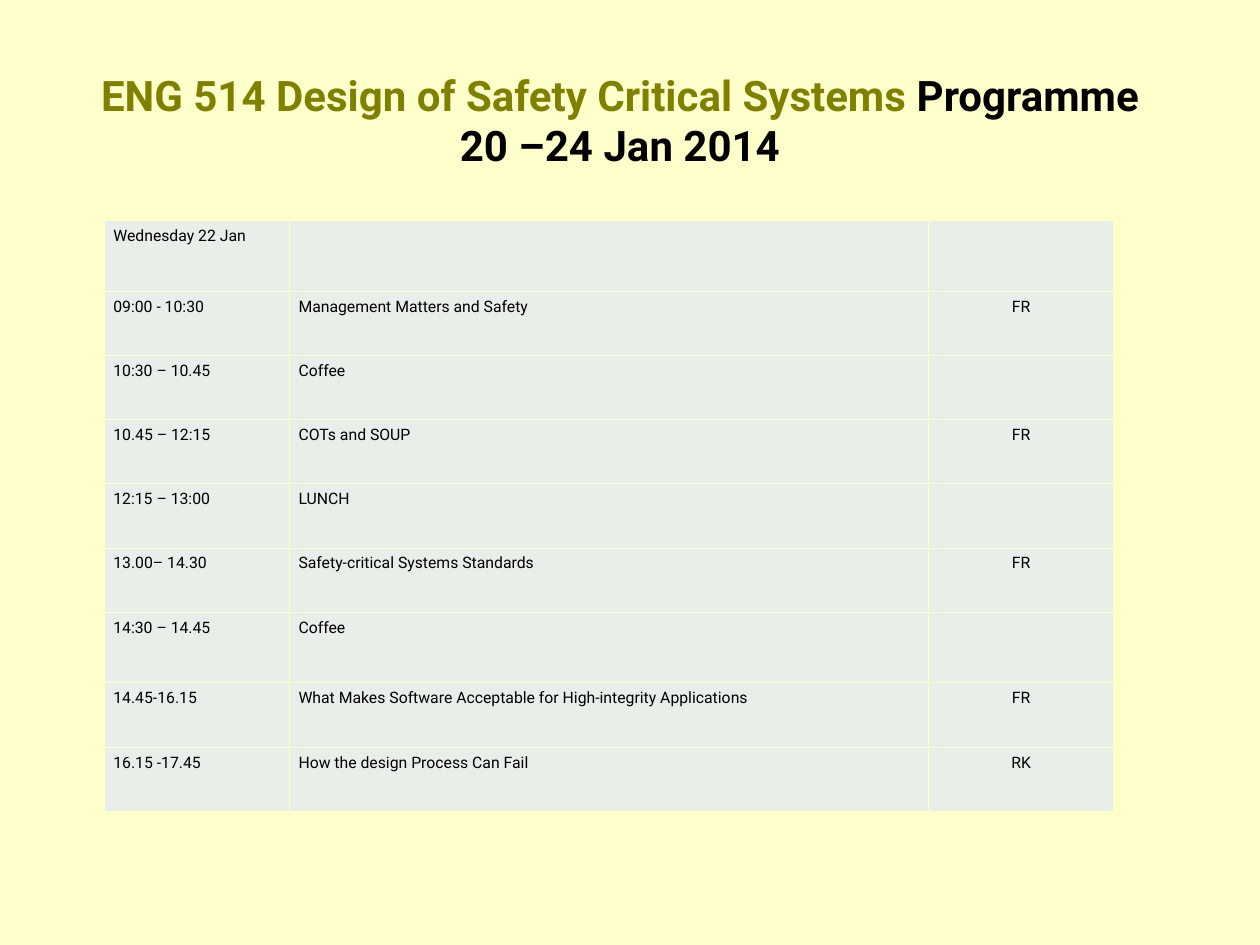
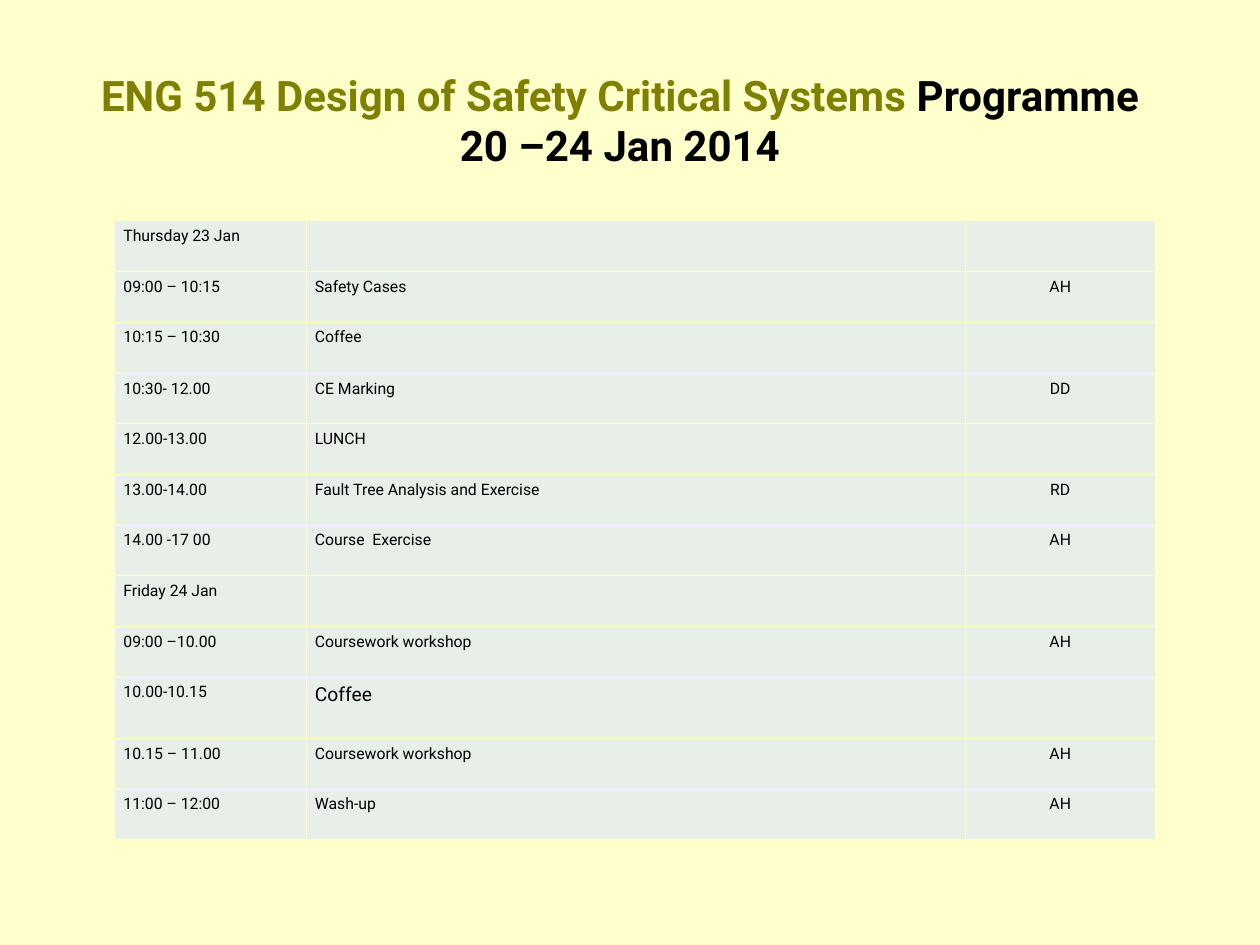
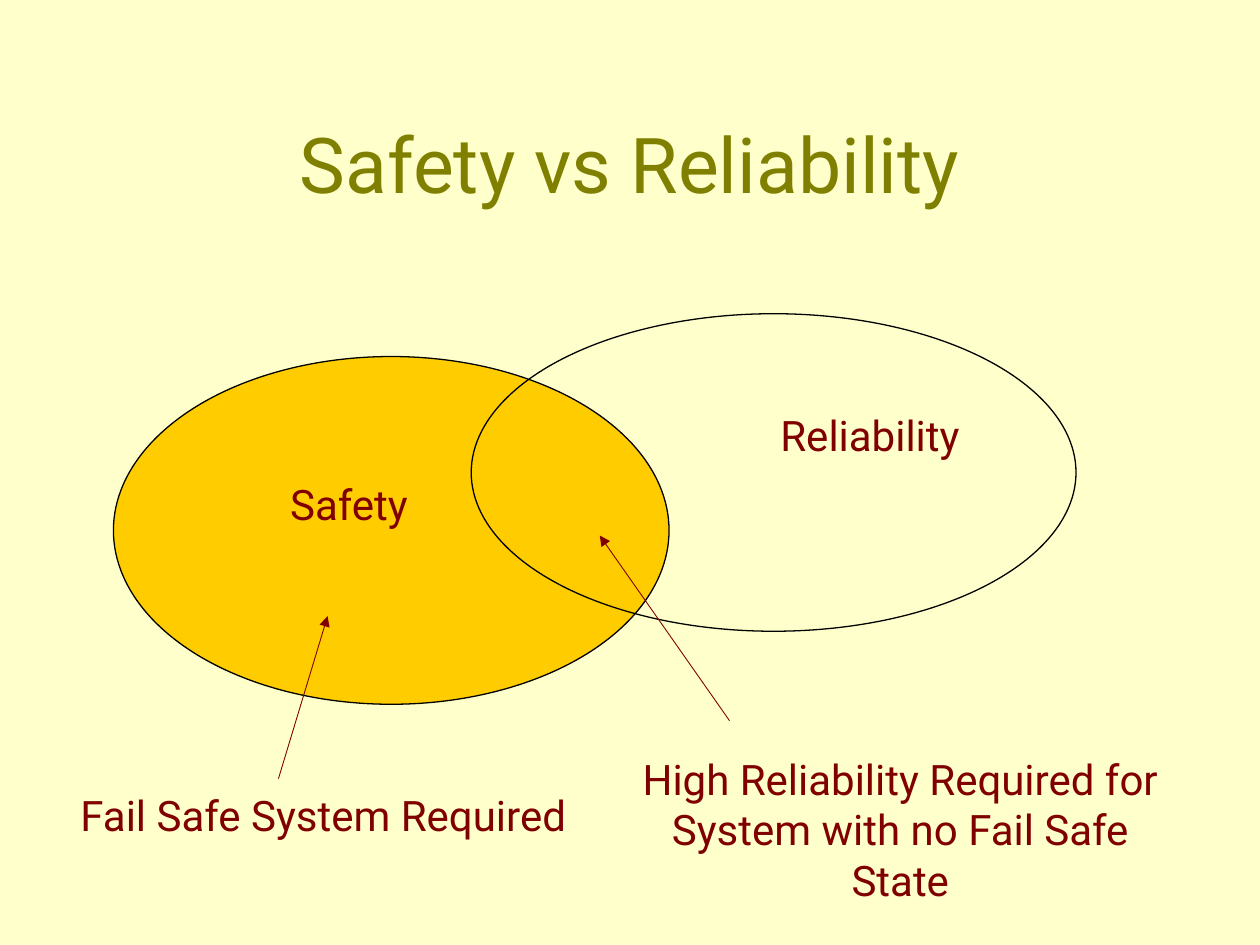
from dataclasses import dataclass

from lxml.etree import SubElement
from pptx import Presentation
from pptx.dml.color import RGBColor
from pptx.enum.shapes import MSO_CONNECTOR, MSO_SHAPE
from pptx.enum.text import MSO_ANCHOR, MSO_AUTO_SIZE, PP_ALIGN
from pptx.oxml.ns import qn
from pptx.util import Inches, Pt


@dataclass(frozen=True)
class Theme:
    """Colours, font and type sizes shared by the slides."""

    font: str = "Roboto"
    background: str = "FFFFCC"
    title: str = "808000"
    ink: str = "000000"
    cell: str = "E8EFE8"
    label: str = "800000"
    safety: str = "FFCC00"
    title_size: int = 44
    heading_size: int = 24
    cell_size: int = 9
    large_cell_size: int = 11
    border: float = 0.45
    outline: float = 0.75
    arrow: float = 0.5


@dataclass(frozen=True)
class Box:
    """A rectangle in inches."""

    left: float
    top: float
    width: float
    height: float

    def inside(self, left, top, width, height):
        """Return a box placed relative to this one."""
        return Box(self.left + left, self.top + top, width, height)

    def lengths(self):
        """Return the four lengths that shape methods take."""
        return [Inches(value) for value in (self.left, self.top, self.width, self.height)]


THEME = Theme()
PROGRAMME_TITLE = [
    ("ENG 514 Design of Safety Critical Systems ", THEME.title),
    ("Programme 20 –24 Jan 2014", THEME.ink),
]
WEDNESDAY = [
    ("Wednesday 22 Jan", "", ""),
    ("09:00 - 10:30", "Management Matters and Safety", "FR"),
    ("10:30 – 10.45", "Coffee", ""),
    ("10.45 – 12:15", "COTs and SOUP", "FR"),
    ("12:15 – 13:00", "LUNCH", ""),
    ("13.00– 14.30", "Safety-critical Systems Standards", "FR"),
    ("14:30 – 14.45", "Coffee", ""),
    ("14.45-16.15", "What Makes Software Acceptable for High-integrity Applications", "FR"),
    ("16.15 -17.45", "How the design Process Can Fail", "RK"),
]
THURSDAY_AND_FRIDAY = [
    ("Thursday 23 Jan", "", ""),
    ("09:00 – 10:15", "Safety Cases", "AH"),
    ("10:15 – 10:30", "Coffee", ""),
    ("10:30- 12.00", "CE Marking", "DD"),
    ("12.00-13.00", "LUNCH", ""),
    ("13.00-14.00", "Fault Tree Analysis and Exercise", "RD"),
    ("14.00 -17 00", "Course  Exercise", "AH"),
    ("Friday 24 Jan", "", ""),
    ("09:00 –10.00", "Coursework workshop", "AH"),
    ("10.00-10.15", "Coffee", ""),
    ("10.15 – 11.00", "Coursework workshop", "AH"),
    ("11:00 – 12:00", "Wash-up", "AH"),
]


def color(value):
    """Turn a hex string into a colour."""
    return RGBColor.from_string(value)


def add_span(para, text, size, ink, bold=False):
    """Append one formatted run."""
    span = para.add_run()
    span.text = text
    span.font.name = THEME.font
    span.font.size = Pt(size)
    span.font.bold = bold
    span.font.color.rgb = color(ink)


def add_page(deck, box, spans, size, bold=False, anchor=MSO_ANCHOR.MIDDLE):
    """Add a slide whose title placeholder fills the box."""
    page = deck.slides.add_slide(deck.slide_layouts.get_by_name("Title Only"))
    title = page.shapes.title
    title.left, title.top, title.width, title.height = box.lengths()
    frame = title.text_frame
    frame.auto_size = MSO_AUTO_SIZE.NONE
    frame.vertical_anchor = anchor
    para = frame.paragraphs[0]
    para.alignment = PP_ALIGN.CENTER
    for text, ink in spans:
        add_span(para, text, size, ink, bold)
    return page


def format_cell(cell, text, size, inset, centred):
    """Give a table cell its borders, fill and text."""
    properties = cell._tc.get_or_add_tcPr()
    for side in ("a:lnL", "a:lnR", "a:lnT", "a:lnB"):
        line = SubElement(properties, qn(side), w=str(Pt(THEME.border)))
        fill = SubElement(line, qn("a:solidFill"))
        SubElement(fill, qn("a:srgbClr"), val=THEME.background)
    cell.fill.solid()
    cell.fill.fore_color.rgb = color(THEME.cell)
    cell.margin_left = cell.margin_right = Inches(inset)
    cell.margin_top = cell.margin_bottom = Inches(0.05)
    if text:
        para = cell.text_frame.paragraphs[0]
        para.alignment = PP_ALIGN.CENTER if centred else PP_ALIGN.LEFT
        add_span(para, text, size, THEME.ink)


def add_timetable(page, box, sessions, widths, row_height, tall_rows, inset, large_cells=()):
    """Fill the box with a table of time, session and lecturer."""
    table = page.shapes.add_table(len(sessions), len(widths), *box.lengths()).table
    table.first_row = table.horz_banding = False
    for column, width in zip(table.columns, widths):
        column.width = Inches(width)
    for row_index, session in enumerate(sessions):
        table.rows[row_index].height = Inches(tall_rows.get(row_index, row_height))
        for column_index, text in enumerate(session):
            large = (row_index, column_index) in large_cells
            size = THEME.large_cell_size if large else THEME.cell_size
            cell = table.cell(row_index, column_index)
            format_cell(cell, text, size, inset, column_index == 2)


def add_programme_page(deck, box, sessions, **layout):
    """Add a programme slide with its timetable in the box."""
    title_box = Box(0.67, 0.5, 8.5, 1.25)
    page = add_page(deck, title_box, PROGRAMME_TITLE, THEME.heading_size, True, MSO_ANCHOR.TOP)
    add_timetable(page, box, sessions, **layout)


def add_ellipse(page, box, fill=None):
    """Draw an outlined ellipse, filled when a colour is given."""
    ellipse = page.shapes.add_shape(MSO_SHAPE.OVAL, *box.lengths())
    ellipse.shadow.inherit = False
    ellipse.line.color.rgb = color(THEME.ink)
    ellipse.line.width = Pt(THEME.outline)
    if fill:
        ellipse.fill.solid()
        ellipse.fill.fore_color.rgb = color(fill)
    else:
        ellipse.fill.background()


def add_label(page, box, text, wrap=False, alignment=PP_ALIGN.CENTER):
    """Write a diagram label in the box."""
    frame = page.shapes.add_textbox(*box.lengths()).text_frame
    frame.word_wrap = wrap
    frame.auto_size = MSO_AUTO_SIZE.SHAPE_TO_FIT_TEXT
    para = frame.paragraphs[0]
    para.alignment = alignment
    add_span(para, text, THEME.heading_size, THEME.label)


def add_arrow(page, box, start, end):
    """Draw an arrow between two points measured from the box corner."""
    points = [Inches(value) for x, y in (start, end) for value in (box.left + x, box.top + y)]
    arrow = page.shapes.add_connector(MSO_CONNECTOR.STRAIGHT, *points)
    arrow.line.color.rgb = color(THEME.label)
    arrow.line.width = Pt(THEME.arrow)
    SubElement(arrow.line._get_or_add_ln(), qn("a:tailEnd"), type="triangle")
    SubElement(arrow._element.spPr, qn("a:effectLst"))


def add_venn(page, box):
    """Draw the overlapping safety and reliability sets in the box."""
    add_ellipse(page, box.inside(0.36, 0.34, 4.41, 2.76), THEME.safety)
    add_ellipse(page, box.inside(3.2, 0, 4.8, 2.52))
    add_label(page, box.inside(5.51, 0.71, 1.71, 0.5), "Reliability")
    add_label(page, box.inside(1.65, 1.26, 1.16, 0.5), "Safety")
    add_arrow(page, box, (5.25, 3.23), (4.22, 1.76))
    add_label(
        page,
        box.inside(4.41, 3.44, 4.39, 1.3),
        "High Reliability Required for System with no Fail Safe State",
        wrap=True,
    )
    add_arrow(page, box, (1.67, 3.69), (2.06, 2.4))
    add_label(
        page,
        box.inside(0, 3.73, 4.22, 0.5),
        "Fail Safe System Required",
        alignment=PP_ALIGN.LEFT,
    )


def add_comparison_page(deck, box):
    """Add the safety and reliability slide with its diagram in the box."""
    title_box = Box(0.75, 0.67, 8.5, 1.25)
    page = add_page(deck, title_box, [("Safety vs Reliability", THEME.title)], THEME.title_size)
    add_venn(page, box)


def main():
    """Build and save the deck."""
    deck = Presentation()
    deck.slide_width, deck.slide_height = Inches(10), Inches(7.5)
    background = deck.slide_master.background.fill
    background.solid()
    background.fore_color.rgb = color(THEME.background)
    add_programme_page(
        deck, Box(0.83, 1.75, 8.01, 4.68), WEDNESDAY,
        widths=(1.47, 5.07, 1.47), row_height=0.51, tall_rows={0: 0.56, 6: 0.56}, inset=0.07,
    )
    add_programme_page(
        deck, Box(0.91, 1.75, 8.26, 4.91), THURSDAY_AND_FRIDAY,
        widths=(1.52, 5.23, 1.51), row_height=0.4, tall_rows={9: 0.49}, inset=0.07,
        large_cells={(9, 1)},
    )
    add_comparison_page(deck, Box(0.54, 2.49, 8.8, 4.74))
    deck.save("out.pptx")


if __name__ == "__main__":
    main()
